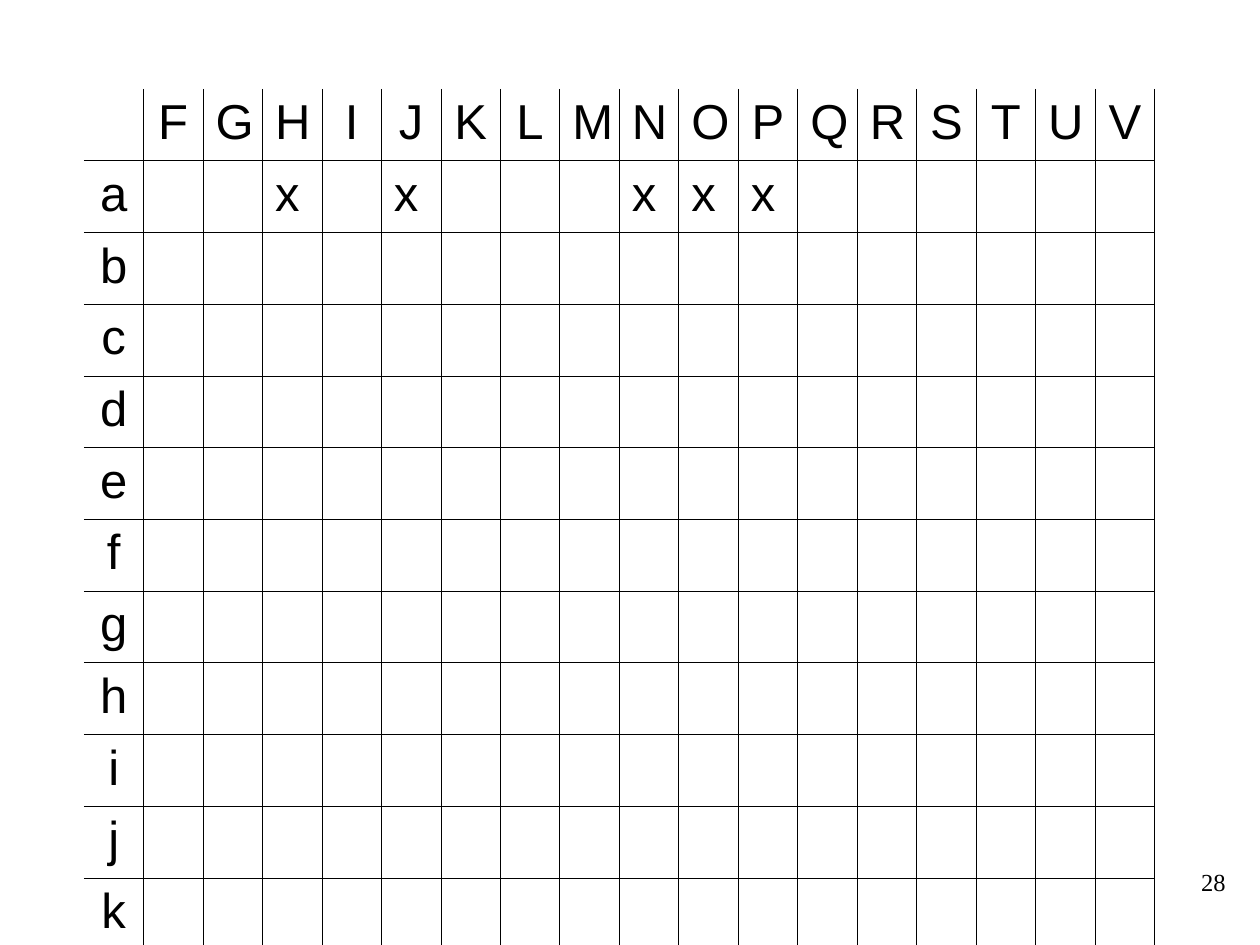
from dataclasses import dataclass

from lxml import etree
from pptx import Presentation
from pptx import util as u
from pptx.dml.color import RGBColor
from pptx.enum import text
from pptx.oxml.ns import qn

PX = 7257.14  # EMU per pixel, 126 to the inch
HUES = {"ink": "000000"}
HEADS = "FGHIJKLMNOPQRSTUV"
ROWS = "abcdefghijk"
MARKS = {"a": "HJNOP"}
THIN, THICK = 0.45, 1.08


@dataclass
class Box:
    x: int
    y: int
    w: int
    h: int

    def emu(self) -> list[int]:
        return [px(n) for n in (self.x, self.y, self.w, self.h)]


@dataclass
class Style:
    font: str
    size: int
    align: text.PP_ALIGN


def px(n: float) -> u.Emu:
    return u.Emu(round(n * PX))


def write(frame, words: str, style: Style) -> None:
    frame.text = words
    para = frame.paragraphs[0]
    para.alignment = style.align
    font = para.runs[0].font
    font.name, font.size = style.font, u.Pt(style.size)
    font.color.rgb = RGBColor.from_string(HUES["ink"])


def edge(cell, side: str, width: float) -> None:
    """Add one cell border; a width of zero means no line."""
    line = etree.SubElement(cell._tc.get_or_add_tcPr(), qn(f"a:ln{side}"))
    if not width:
        etree.SubElement(line, qn("a:noFill"))
        return
    line.set("w", str(u.Pt(width)))
    fill = etree.SubElement(line, qn("a:solidFill"))
    etree.SubElement(fill, qn("a:srgbClr"), val=HUES["ink"])


def label(row: int, col: int) -> str:
    if row == 0:
        return HEADS[col - 1] if col else ""
    name = ROWS[row - 1]
    if col == 0:
        return name
    return "x" if HEADS[col - 1] in MARKS.get(name, "") else ""


def grid(slide, box: Box) -> None:
    rows, cols = len(ROWS) + 1, len(HEADS) + 1
    table = slide.shapes.add_table(rows, cols, *box.emu()).table
    table.first_row = table.horz_banding = False
    for col in table.columns:
        col.width = px(box.w / cols)
    for row in table.rows:
        row.height = px(box.h / rows)

    head = Style("Arial", 28, text.PP_ALIGN.CENTER)
    mark = Style("Arial", 28, text.PP_ALIGN.LEFT)
    for r in range(rows):
        for c in range(cols):
            cell = table.cell(r, c)
            # Open at the left and top, heavy at the right and bottom
            edge(cell, "L", THIN if c else 0)
            edge(cell, "R", THICK if c == cols - 1 else THIN)
            edge(cell, "T", THIN if r else 0)
            edge(cell, "B", THICK if r == rows - 1 else THIN)
            cell.fill.background()
            words = label(r, c)
            if words:
                write(cell.text_frame, words, mark if r and c else head)


def main() -> None:
    deck = Presentation()
    deck.slide_width, deck.slide_height = px(1260), px(945)
    slide = deck.slides.add_slide(deck.slide_layouts[6])

    # Letter matrix
    grid(slide, Box(84, 89, 1071, 861))

    # Page number
    frame = slide.shapes.add_textbox(*Box(976, 861, 262, 63).emu()).text_frame
    frame.word_wrap = True
    write(frame, "28", Style("Times New Roman", 14, text.PP_ALIGN.RIGHT))

    deck.save("out.pptx")


if __name__ == "__main__":
    main()
